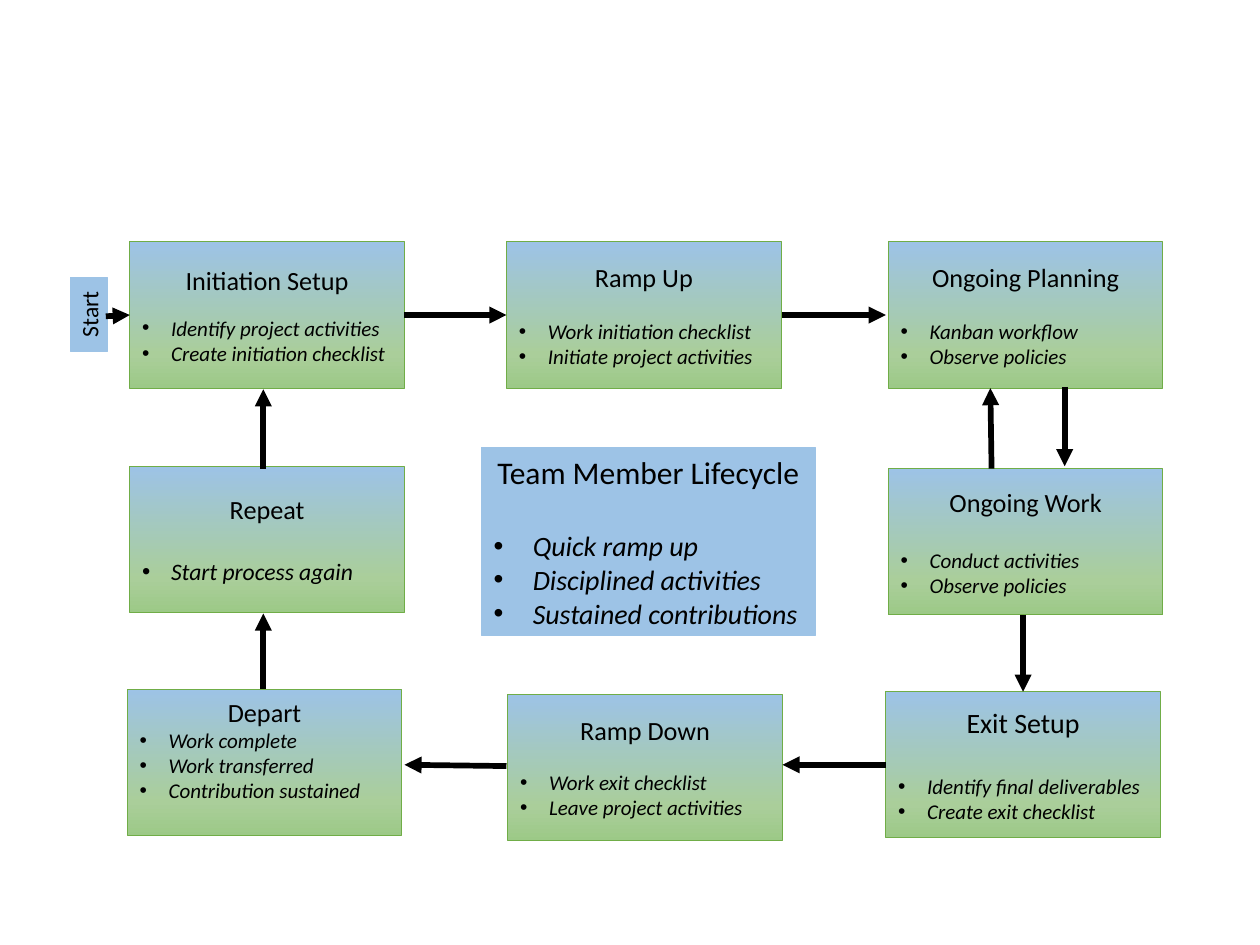
from copy import deepcopy
from lxml import etree
from pptx import Presentation, util as u
from pptx.dml.color import RGBColor
from pptx.enum import shapes, text
from pptx.oxml.ns import qn

BLACK = RGBColor(0x00, 0x00, 0x00)
BLUE = RGBColor(0x9D, 0xC3, 0xE6)
SAGE = RGBColor(0xAA, 0xCE, 0x9A)
LEAF = RGBColor(0x9C, 0xC9, 0x87)
GREEN = RGBColor(0x70, 0xAD, 0x47)

COLUMNS, ROWS = 10, 7.5  # grid of one-inch cells
STEP_SIZE = (2.18, 1.16)
LINE_HEIGHT = 1.22  # Calibri line height as a share of the text size


def set_values(target, **values):
    for name, value in values.items():
        setattr(target, name, value)


class Board:
    """Style and current slide; positions are in grid columns and rows."""

    font = "Calibri"
    gradient = ((0, BLUE), (0.77, SAGE), (1, LEAF))

    def __init__(self, deck):
        self.slide = deck.slides.add_slide(deck.slide_layouts[6])
        self.cell = deck.slide_width / COLUMNS

    def grid(self, *lengths):
        return [round(length * self.cell) for length in lengths]

    def box(self, left, top, size, edge):
        box = self.slide.shapes.add_shape(
            shapes.MSO_SHAPE.RECTANGLE, *self.grid(left, top, *size))
        box.shadow.inherit = False
        box.line.color.rgb = edge
        box.line.width = u.Pt(0.5)
        set_values(box.text_frame, word_wrap=True,
                   vertical_anchor=text.MSO_ANCHOR.MIDDLE)
        return box

    def plain_box(self, left, top, size):
        box = self.box(left, top, size, BLUE)
        box.fill.solid()
        box.fill.fore_color.rgb = BLUE
        return box

    def step_box(self, left, top):
        box = self.box(left, top, STEP_SIZE, GREEN)
        box.fill.gradient()
        box.fill.gradient_angle = 270
        stops = box._element.spPr.find(".//" + qn("a:gsLst"))
        stops.append(deepcopy(stops[-1]))
        for stop, (position, color) in zip(box.fill.gradient_stops, self.gradient):
            stop.position = position
            stop.color.rgb = color
        return box

    def add_words(self, paragraph, words, size, **style):
        run = paragraph.add_run()
        run.text = words
        set_values(run.font, name=self.font, size=u.Pt(size), **style)
        run.font.color.rgb = BLACK

    def heading(self, box, words, size):
        paragraph = box.text_frame.paragraphs[0]
        paragraph.alignment = text.PP_ALIGN.CENTER
        self.add_words(paragraph, words, size)

    def bullets(self, box, items, size, gap, indent=0.23):
        """List items; gap is the size of the open line above the list."""
        for index, item in enumerate(items):
            paragraph = box.text_frame.add_paragraph()
            set_values(paragraph, alignment=text.PP_ALIGN.LEFT,
                       space_before=u.Pt(0 if index else round(gap * LINE_HEIGHT, 1)))
            properties = paragraph._p.get_or_add_pPr()
            properties.set("marL", str(u.Inches(indent)))
            properties.set("indent", str(-u.Inches(indent)))
            etree.SubElement(properties, qn("a:buFont"), typeface="Arial")
            etree.SubElement(properties, qn("a:buChar"), char="•")
            self.add_words(paragraph, item, size, italic=True)

    def arrow(self, *ends):
        arrow = self.slide.shapes.add_connector(
            shapes.MSO_CONNECTOR.STRAIGHT, *self.grid(*ends))
        arrow.line.color.rgb = BLACK
        arrow.line.width = u.Pt(3.25)
        outline = arrow._element.spPr.find(qn("a:ln"))
        etree.SubElement(outline, qn("a:tailEnd"), type="triangle")
        etree.SubElement(arrow._element.spPr, qn("a:effectLst"))


deck = Presentation()
set_values(deck, slide_width=u.Inches(COLUMNS), slide_height=u.Inches(ROWS))
board = Board(deck)

# Lifecycle steps: left, top, title, title size, gap, item size, items
STEPS = (
    (1.03, 1.92, "Initiation Setup", 15, 9, 12,
     ("Identify project activities", "Create initiation checklist")),
    (4.02, 1.92, "Ramp Up", 15, 12, 12,
     ("Work initiation checklist", "Initiate project activities")),
    (7.05, 1.92, "Ongoing Planning", 15, 12, 12,
     ("Kanban workflow", "Observe policies")),
    (7.05, 3.72, "Ongoing Work", 15, 14, 12,
     ("Conduct activities", "Observe policies")),
    (7.03, 5.49, "Exit Setup", 16, 16, 12,
     ("Identify final deliverables", "Create exit checklist")),
    (4.03, 5.51, "Ramp Down", 15, 11, 12,
     ("Work exit checklist", "Leave project activities")),
    (1.01, 5.47, "Depart", 15, 0, 12,
     ("Work complete", "Work transferred", "Contribution sustained")),
    (1.03, 3.70, "Repeat", 15, 15, 13.5, ("Start process again",)),
)
for left, top, title, title_size, gap, item_size, items in STEPS:
    step = board.step_box(left, top)
    board.heading(step, title, title_size)
    board.bullets(step, items, item_size, gap)
    if not gap:  # a list right under its title sits higher in the box
        step.text_frame.margin_bottom = u.Inches(0.25)

# Central summary
summary = board.plain_box(3.82, 3.55, (2.65, 1.49))
board.heading(summary, "Team Member Lifecycle", 18)
board.bullets(summary, ("Quick ramp up", "Disciplined activities",
                        "Sustained contributions"), 16, 18, indent=0.31)

# Start label
start = board.plain_box(0.41, 2.35, (0.59, 0.29))
start.rotation = 270
board.heading(start, "Start", 13.5)

# Flow, clockwise from the start label
FLOW = (
    (0.84, 2.51, 1.03, 2.50),
    (3.21, 2.50, 4.02, 2.50),
    (6.21, 2.50, 7.03, 2.50),
    (8.45, 3.07, 8.45, 3.70),
    (7.87, 3.72, 7.86, 3.08),
    (8.12, 4.88, 8.12, 5.49),
    (7.03, 6.07, 6.21, 6.07),
    (4.02, 6.08, 3.21, 6.07),
    (2.09, 5.47, 2.09, 4.87),
    (2.09, 3.72, 2.09, 3.09),
)
for ends in FLOW:
    board.arrow(*ends)

deck.save("out.pptx")
